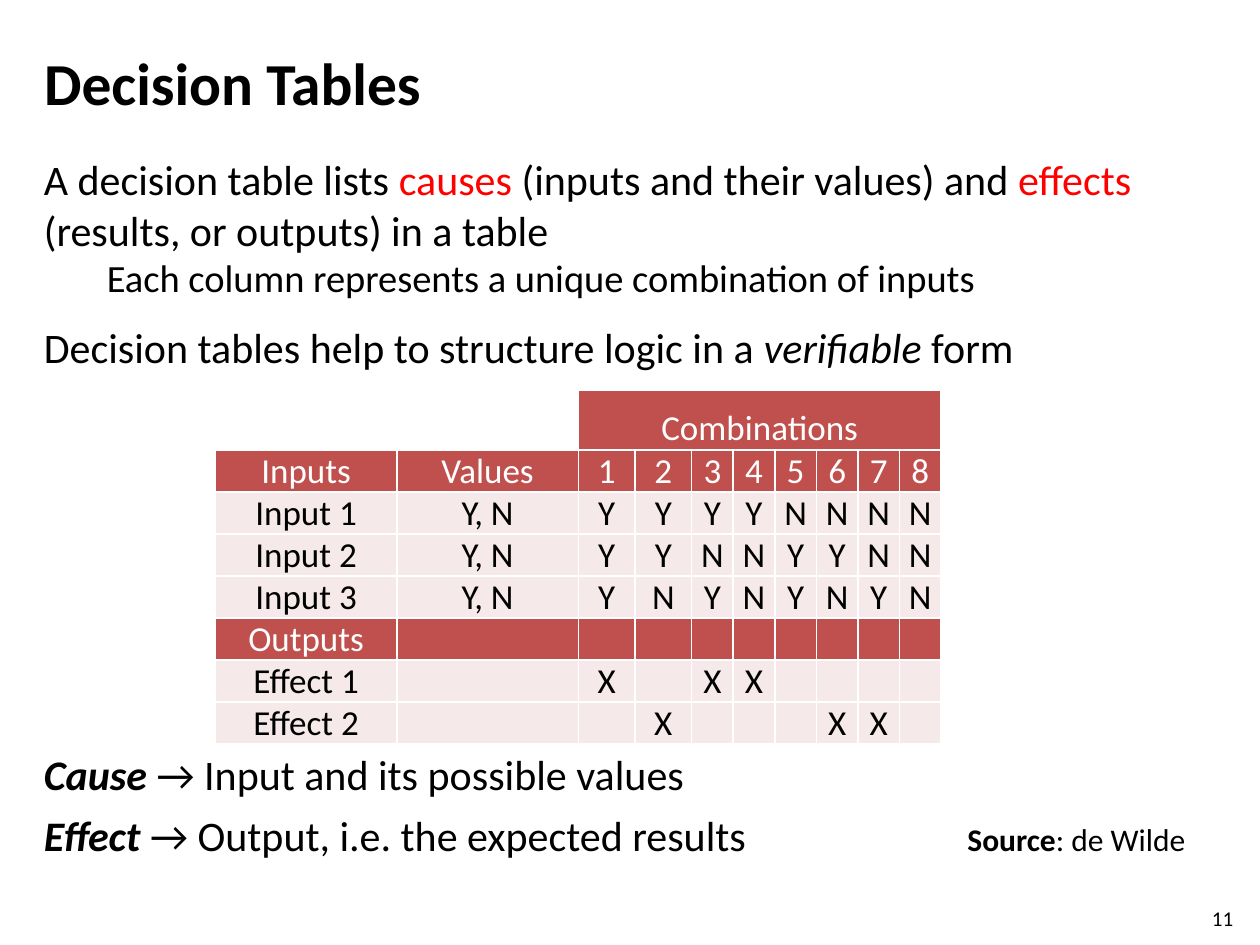
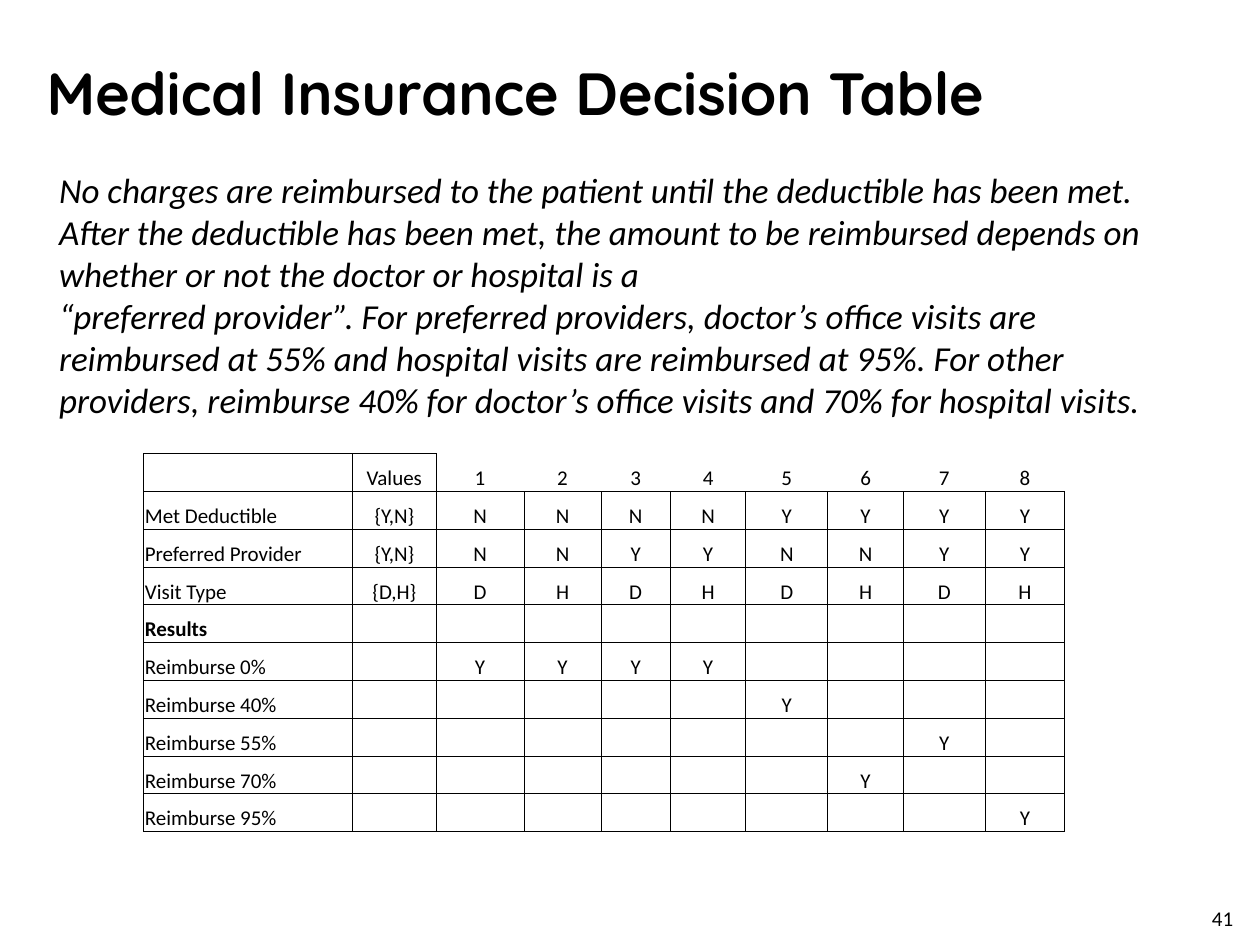
from dataclasses import dataclass

from lxml import etree
from pptx import Presentation
from pptx.dml.color import RGBColor
from pptx.enum.text import MSO_ANCHOR, MSO_AUTO_SIZE, PP_ALIGN
from pptx.oxml.ns import qn
from pptx.util import Pt

PX = 9144
TITLE_ONLY = 5
TOP, MIDDLE, BOTTOM = MSO_ANCHOR.TOP, MSO_ANCHOR.MIDDLE, MSO_ANCHOR.BOTTOM
LEFT, CENTER = PP_ALIGN.LEFT, PP_ALIGN.CENTER
NO_AUTOFIT = MSO_AUTO_SIZE.NONE
SIDES = "LRTB"


@dataclass(frozen=True)
class Theme:
    """Colours, fonts and type sizes shared by the slides."""
    ink: str = "000000"
    paper: str = "FFFFFF"
    accent: str = "FF0000"
    band: str = "C0504D"
    tint: str = "F5E9E9"
    font: str = "Calibri"
    display_font: str = "Quicksand"
    title: int = 34
    body: int = 24
    sub: int = 22
    rule: int = 20
    source: int = 18
    small: int = 12


THEME = Theme()


def px(*lengths):
    """Turn px lengths into EMU."""
    return [length * PX for length in lengths]


def add_span(para, text, size, color=THEME.ink, font=THEME.font, bold=False, italic=False):
    """Add one formatted run to a paragraph."""
    span = para.add_run()
    span.text = text
    span.font.size = Pt(size)
    span.font.name = font
    span.font.bold = bold
    span.font.italic = italic
    span.font.color.rgb = RGBColor.from_string(color)


def add_para(frame, spans, size, before=0, after=0, indent=0):
    """Write the next paragraph of a frame from (text, style) spans."""
    first = frame.paragraphs[0]
    para = frame.add_paragraph() if first.runs else first
    if indent:
        para._p.get_or_add_pPr().set("marL", str(indent * PX))
    para.space_before, para.space_after = Pt(before), Pt(after)
    for text, style in spans:
        add_span(para, text, size, **style)
    return para


def add_box(slide, bounds):
    """Add a wrapping text box and return its frame."""
    frame = slide.shapes.add_textbox(*px(*bounds)).text_frame
    frame.word_wrap = True
    frame.vertical_anchor = TOP
    return frame


def add_slide(deck, title, bounds, number, font=THEME.font):
    """Add a slide with its title and page number."""
    slide = deck.slides.add_slide(deck.slide_layouts[TITLE_ONLY])
    heading = slide.shapes.title
    heading.left, heading.top, heading.width, heading.height = px(*bounds)
    frame = heading.text_frame
    frame.vertical_anchor = MIDDLE
    frame.auto_size = NO_AUTOFIT
    add_para(frame, [(title, {"font": font, "bold": True})], THEME.title).alignment = LEFT
    add_para(add_box(slide, (952, 714, 40, 24)), [(number, {})], THEME.small)
    return slide


def set_borders(cell, color, width, sides=SIDES):
    """Draw the given sides of a cell and clear the others."""
    props = cell._tc.get_or_add_tcPr()
    for side in SIDES:
        line = etree.SubElement(props, qn(f"a:ln{side}"), w=str(Pt(width)))
        if side in sides:
            fill = etree.SubElement(line, qn("a:solidFill"))
            etree.SubElement(fill, qn("a:srgbClr"), val=color)
        else:
            etree.SubElement(line, qn("a:noFill"))


def write_cell(cell, text, size, margins, align=CENTER, **style):
    """Put text at the bottom of a table cell."""
    cell.margin_left, cell.margin_right, cell.margin_top, cell.margin_bottom = px(*margins)
    cell.vertical_anchor = BOTTOM
    para = cell.text_frame.paragraphs[0]
    para.alignment = align
    if text:
        add_span(para, text, size, **style)
    else:
        para._p.get_or_add_endParaRPr().set("sz", str(size * 100))


def add_grid(slide, left, top, widths, heights):
    """Add an unstyled table with the given column widths and row heights."""
    bounds = px(left, top, sum(widths), sum(heights))
    table = slide.shapes.add_table(len(heights), len(widths), *bounds).table
    table.first_row = table.horz_banding = False
    for column, width in zip(table.columns, widths):
        column.width = width * PX
    for row, height in zip(table.rows, heights):
        row.height = height * PX
    return table


def marks(pattern):
    """Split a pattern into one mark per combination; a dash is empty."""
    return ["" if mark == "-" else mark for mark in pattern]


def add_combinations(slide):
    """Add the general table of inputs, outputs and combinations."""
    rows = [
        ["", "", "Combinations", *marks("-------")],
        ["Inputs", "Values", *marks("12345678")],
        ["Input 1", "Y, N", *marks("YYYYNNNN")],
        ["Input 2", "Y, N", *marks("YYNNYYNN")],
        ["Input 3", "Y, N", *marks("YNYNYNYN")],
        ["Outputs", "", *marks("--------")],
        ["Effect 1", "", *marks("X-XX----")],
        ["Effect 2", "", *marks("-X---XX-")],
    ]
    widths = [144] * 2 + [45] * 2 + [33] * 6
    table = add_grid(slide, 171, 310, widths, [47] + [31] * 7)
    table.cell(0, 2).merge(table.cell(0, 9))
    for r, row in enumerate(rows):
        header = r in (0, 1, 5)
        for c, text in enumerate(row):
            cell = table.cell(r, c)
            color = THEME.paper if header else THEME.ink
            write_cell(cell, text, THEME.rule, (0, 0, 0, 0), color=color)
            set_borders(cell, THEME.paper, 1)
            blank_corner = r == 0 and c < 2
            fill = THEME.paper if blank_corner else THEME.band if header else THEME.tint
            cell.fill.solid()
            cell.fill.fore_color.rgb = RGBColor.from_string(fill)


def add_reimbursements(slide):
    """Add the table of reimbursement rules."""
    rows = [
        ["", "Values", *marks("12345678")],
        ["Met Deductible", "{Y,N}", *marks("NNNNYYYY")],
        ["Preferred Provider", "{Y,N}", *marks("NNYYNNYY")],
        ["Visit Type", "{D,H}", *marks("DHDHDHDH")],
        ["Results", "", *marks("--------")],
        ["Reimburse 0%", "", *marks("YYYY----")],
        ["Reimburse 40%", "", *marks("----Y---")],
        ["Reimburse 55%", "", *marks("------Y-")],
        ["Reimburse 70%", "", *marks("-----Y--")],
        ["Reimburse 95%", "", *marks("-------Y")],
    ]
    widths = [166, 66, 70, 61, 55, 60, 65, 60, 65, 63]
    table = add_grid(slide, 114, 360, widths, [30] * len(rows))
    for r, row in enumerate(rows):
        for c, text in enumerate(row):
            cell = table.cell(r, c)
            write_cell(cell, text, THEME.small, (1, 1, 1, 0),
                       align=CENTER if c else LEFT, bold=text == "Results")
            open_sides = "LB" if c == 2 else "B"
            set_borders(cell, THEME.ink, 0.5, open_sides if r == 0 and c > 1 else SIDES)
            cell.fill.background()


def build_overview(deck):
    """Build the slide that explains decision tables."""
    slide = add_slide(deck, "Decision Tables", (25, 30, 867, 70), "11")
    accent = {"color": THEME.accent}
    term = {"bold": True, "italic": True}
    frame = add_box(slide, (25, 117, 963, 608))
    add_para(frame, [("A decision table lists ", {}), ("causes ", accent),
                     ("(inputs and their values) and ", {}), ("effects ", accent),
                     ("(results, or outputs) in a table", {})], THEME.body)
    add_para(frame, [("Each column represents a unique combination of inputs", {})],
             THEME.sub, after=12, indent=50)
    add_para(frame, [("Decision tables help to structure logic in a ", {}),
                     ("verifiable", {"italic": True}), (" form", {})], THEME.body, after=12)
    add_para(frame, [("Cause", term), (" → Input and its possible values", {})],
             THEME.body, before=203, after=6)
    add_para(frame, [("Effect", term), (" → Output, i.e. the expected results", {})], THEME.body)
    add_combinations(slide)
    add_para(add_box(slide, (758, 646, 240, 40)),
             [("Source", {"bold": True}), (": de Wilde", {})], THEME.source)


def build_insurance(deck):
    """Build the medical insurance example slide."""
    slide = add_slide(deck, "Medical Insurance Decision Table", (27, 37, 867, 72), "41",
                      THEME.display_font)
    italic = {"italic": True}
    para = add_para(add_box(slide, (37, 129, 925, 236)), [(
        "No charges are reimbursed to the patient until the deductible has been met. "
        "After the deductible has been met, the amount to be reimbursed depends on "
        "whether or not the doctor or hospital is a ", italic)], THEME.rule)
    para.add_line_break()
    add_span(para, "“preferred provider”. For preferred providers, doctor’s office visits are "
             "reimbursed at 55% and hospital visits are reimbursed at 95%. For other "
             "providers, reimburse 40% for doctor’s office visits and 70% for hospital visits.",
             THEME.rule, **italic)
    add_reimbursements(slide)


def main():
    """Build and save the deck."""
    deck = Presentation()
    deck.slide_width, deck.slide_height = px(1000, 750)
    build_overview(deck)
    build_insurance(deck)
    deck.save("out.pptx")


if __name__ == "__main__":
    main()
